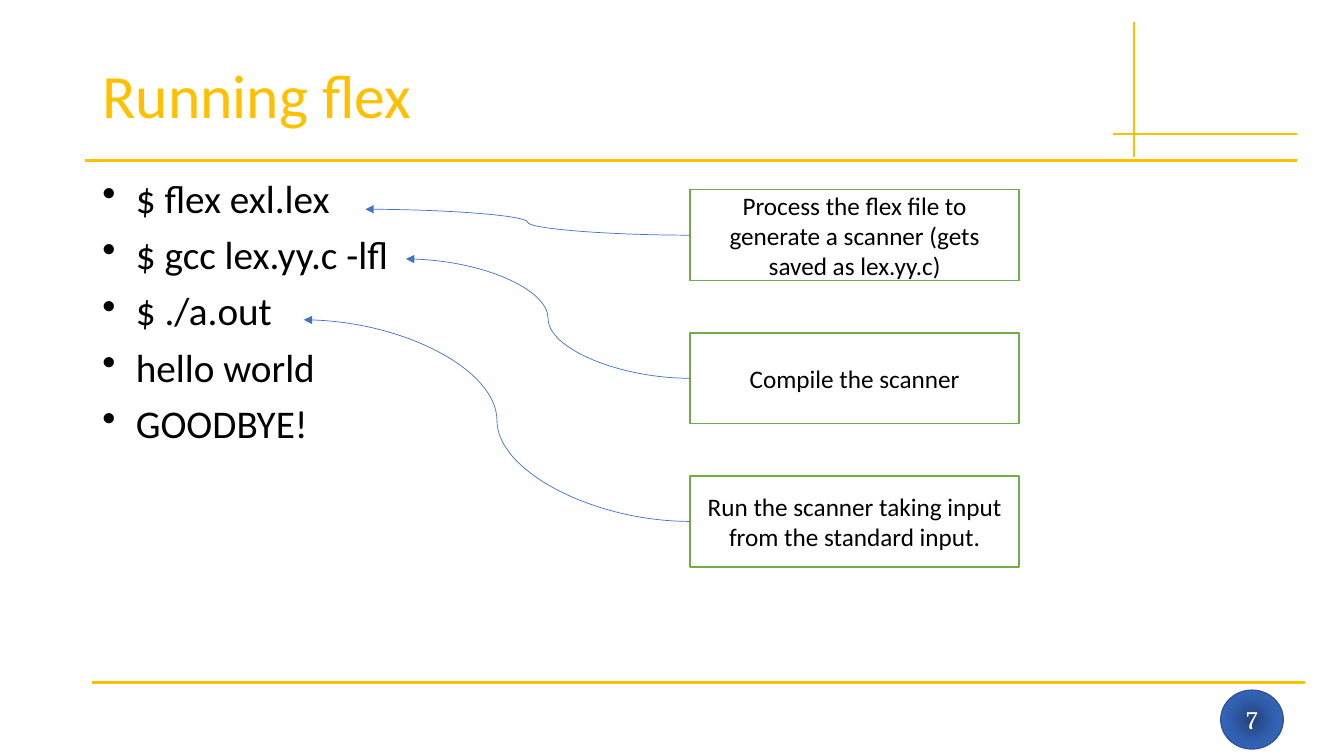
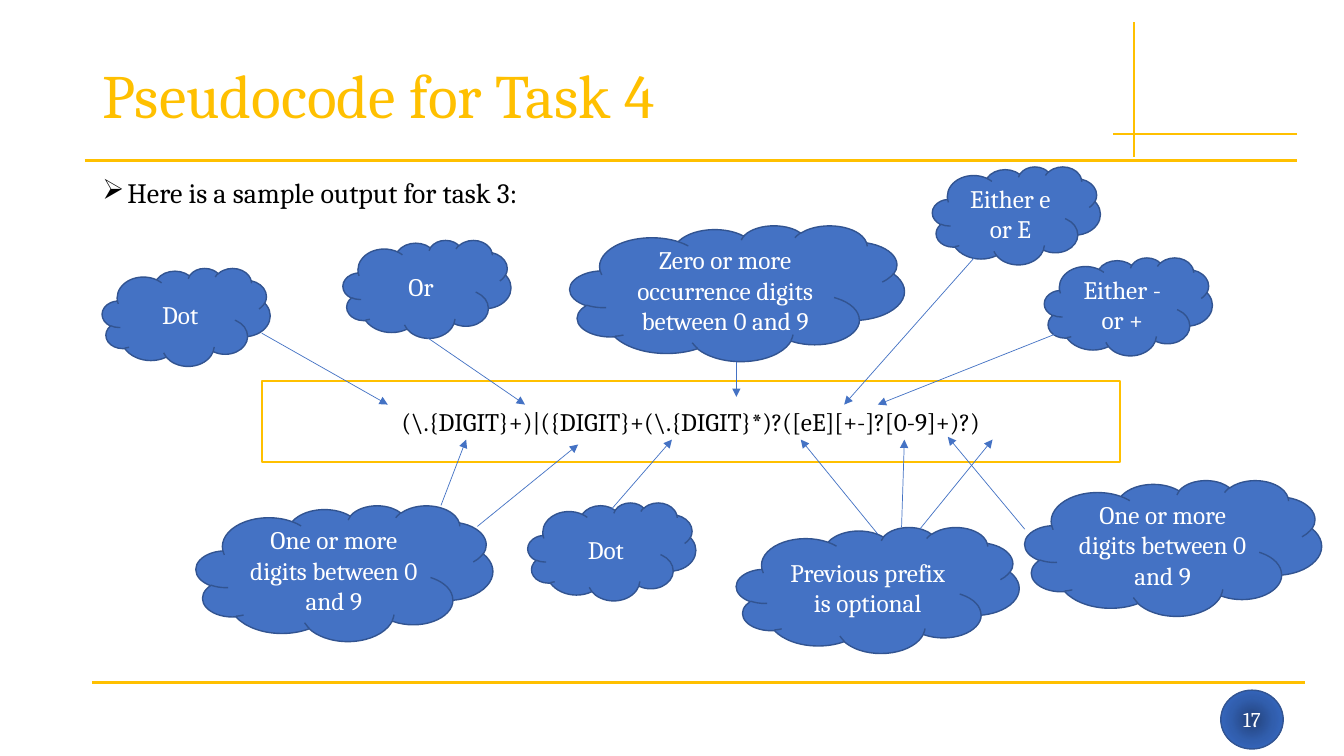
from lxml.etree import SubElement
from pptx import Presentation
from pptx.dml.color import RGBColor
from pptx.enum.shapes import MSO_CONNECTOR, MSO_SHAPE
from pptx.enum.text import MSO_ANCHOR, MSO_AUTO_SIZE, PP_ALIGN
from pptx.oxml import parse_xml
from pptx.oxml.ns import nsdecls, qn
from pptx.util import Pt

GOLD, BLUE, NAVY, GREEN = "FFC000", "4472C4", "325491", "70AD47"
BLACK, WHITE = "000000", "FFFFFF"
SANS, SERIF = "Calibri", "Cambria"
BADGE_STOPS = [(0, "23427A"), (50, "315EAD"), (100, "3A6FCE")]


def rgb(value):
    return RGBColor.from_string(value)


def style(p, font, size, color, align=PP_ALIGN.CENTER):
    p.alignment = align
    for r in p.runs:
        r.font.name = font
        r.font.size = Pt(size)
        r.font.color.rgb = rgb(color)


def add_box(s, kind, box, text, font, size, color, line, fill=None, width=1):
    """Preset shape with centred text."""
    sp = s.shapes.add_shape(kind, *map(Pt, box))
    sp.shadow.inherit = False
    if fill:
        sp.fill.solid()
        sp.fill.fore_color.rgb = rgb(fill)
    else:
        sp.fill.background()
    sp.line.color.rgb = rgb(line)
    sp.line.width = Pt(width)
    tf = sp.text_frame
    tf.word_wrap = True
    tf.vertical_anchor = MSO_ANCHOR.MIDDLE
    tf.text = text
    style(tf.paragraphs[0], font, size, color)
    return sp


def add_line(s, start, end, color, width, kind=MSO_CONNECTOR.STRAIGHT, arrow=False):
    line = s.shapes.add_connector(kind, *map(Pt, (*start, *end)))
    line.line.color.rgb = rgb(color)
    line.line.width = Pt(width)
    if arrow:
        SubElement(line.line._get_or_add_ln(), qn("a:tailEnd"), type="triangle")
    SubElement(line._element.spPr, qn("a:effectLst"))
    return line


def add_badge(s, box, number, size):
    """Slide number on a disc with a radial gradient."""
    sp = add_box(s, MSO_SHAPE.OVAL, box, number, SERIF, size, WHITE, NAVY, BLUE)
    tf = sp.text_frame
    tf.margin_left = tf.margin_right = 0
    stops = "".join(
        f'<a:gs pos="{pos * 1000}"><a:srgbClr val="{color}"/></a:gs>'
        for pos, color in BADGE_STOPS)
    gradient = parse_xml(
        f'<a:gradFill {nsdecls("a")}><a:gsLst>{stops}</a:gsLst><a:path path="circle">'
        '<a:fillToRect l="50000" t="50000" r="50000" b="50000"/></a:path></a:gradFill>')
    spPr = sp._element.spPr
    spPr.replace(spPr.find(qn("a:solidFill")), gradient)


def add_base(prs, title, font, title_width, number, number_size):
    """Slide with title, gold rules and number badge."""
    s = prs.slides.add_slide(prs.slide_layouts[5])
    sp = s.shapes.title
    sp.left, sp.top, sp.width, sp.height = map(Pt, (66, 28.8, title_width, 83.5))
    tf = sp.text_frame
    tf.text = title
    tf.word_wrap = True
    tf.auto_size = MSO_AUTO_SIZE.NONE
    tf.vertical_anchor = MSO_ANCHOR.MIDDLE
    p = tf.paragraphs[0]
    p.line_spacing = 0.9
    style(p, font, 44, GOLD, PP_ALIGN.LEFT)
    for start, end, width in [
        ((810, 16), (810, 112.5), 1.5),
        ((926.5, 96), (795, 96), 1.5),
        ((60.5, 114.5), (926.5, 114.5), 2.25),
        ((66, 487.5), (932.5, 487.5), 2.25),
    ]:
        add_line(s, start, end, GOLD, width)
    add_badge(s, (872, 493, 44.6, 42), number, number_size)
    return s


def add_bullets(s, box, items, char, indent, font, size):
    tf = s.shapes.add_textbox(*map(Pt, box)).text_frame
    tf.word_wrap = True
    for i, item in enumerate(items):
        p = tf.paragraphs[0] if i == 0 else tf.add_paragraph()
        p.text = item
        pPr = p._p.get_or_add_pPr()
        pPr.set("marL", str(Pt(indent)))
        pPr.set("indent", str(-Pt(indent)))
        SubElement(pPr, qn("a:buChar"), char=char)
        p.line_spacing = 0.9
        if i:
            p.space_before = Pt(10)
        style(p, font, size, BLACK, PP_ALIGN.JUSTIFY)


def add_steps(s, box, steps):
    """Column of equal notes, each with a curved arrow to its command."""
    x, y, w, h = box
    note_h = 65
    pitch = (h - note_h) / (len(steps) - 1)
    for i, (text, dx, dy) in enumerate(steps):
        top = y + i * pitch
        note = add_box(s, MSO_SHAPE.RECTANGLE, (x, top, w, note_h), text,
                       SANS, 18, BLACK, GREEN, WHITE)
        curve = add_line(s, (x, top + note_h / 2), (x + dx, y + dy), BLUE, 0.5,
                         MSO_CONNECTOR.CURVE, arrow=True)
        curve.begin_connect(note, 1)


def add_expression(s, box, text, clouds):
    """Framed expression; clouds and arrows are offsets from its corner."""
    x, y = box[:2]
    add_box(s, MSO_SHAPE.RECTANGLE, box, text, SERIF, 18, BLACK, GOLD, width=1.5)
    for label, dx, dy, (w, h), _ in clouds:
        add_box(s, MSO_SHAPE.CLOUD, (x + dx, y + dy, w, h), label,
                SERIF, 18, WHITE, NAVY, BLUE)
    for *_, arrows in clouds:
        for x1, y1, x2, y2 in arrows:
            add_line(s, (x + x1, y + y1), (x + x2, y + y2), BLUE, 0.5, arrow=True)


BODY = (66, 124.5, 828, 353)


def add_flex_slide(prs):
    s = add_base(prs, "Running flex", SANS, 828, "7", 18)
    commands = ["$ flex exl.lex", "$ gcc lex.yy.c -lfl", "$ ./a.out",
                "hello world", "GOODBYE!"]
    add_bullets(s, BODY, commands, "•", 24, SANS, 28)
    add_steps(s, (493, 135.5, 235, 269.5), [
        ("Process the flex file to generate a scanner (gets saved as lex.yy.c)", -232, 14),
        ("Compile the scanner", -203, 49.5),
        ("Run the scanner taking input from the standard input.", -276, 93),
    ])


def add_task_slide(prs):
    s = add_base(prs, "Pseudocode for Task 4", SERIF, 720, "17", 15)
    add_bullets(s, BODY, ["Here is a sample output for task 3:"], "➢", 18, SERIF, 20)
    small, wide = (120, 70), (212, 97)
    above, below = 17, 42  # arrow tips on either side of the expression
    digits = "One or more digits between 0 and 9"
    add_expression(
        s, (187, 272, 613, 58),
        r"(\.{DIGIT}+)|({DIGIT}+(\.{DIGIT}*)?([eE][+-]?[0-9]+)?)", [
            ("Dot", -114, -80.5, small, [(0, -34, 90, above)]),
            (digits, -47, 89, wide,
             [(128, 89, 146, below), (154, 104, 226, 45.5)]),
            ("Or", 58, -100.5, small, [(118, -31, 188, above)]),
            ("Dot", 190, 87, small, [(250, 91.5, 293, below)]),
            ("Zero or more occurrence digits between 0 and 9", 220, -111, (239, 97),
             [(339, -13.5, 339, 11.5)]),
            ("Previous prefix is optional", 339, 104.5, (202, 90),
             [(440, 109.5, 385, below), (457, 104.5, 459, below),
              (470, 106, 522, below)]),
            ("Either e or E", 479, -153, small, [(509, -88, 416, above)]),
            ("Either - or +", 559, -88, small, [(571, -35, 440, above)]),
            (digits, 545, 71, wide, [(545, 106, 490, 40)]),
        ])


def main():
    prs = Presentation()
    prs.slide_width, prs.slide_height = Pt(960), Pt(540)
    add_flex_slide(prs)
    add_task_slide(prs)
    prs.save("out.pptx")


if __name__ == "__main__":
    main()
